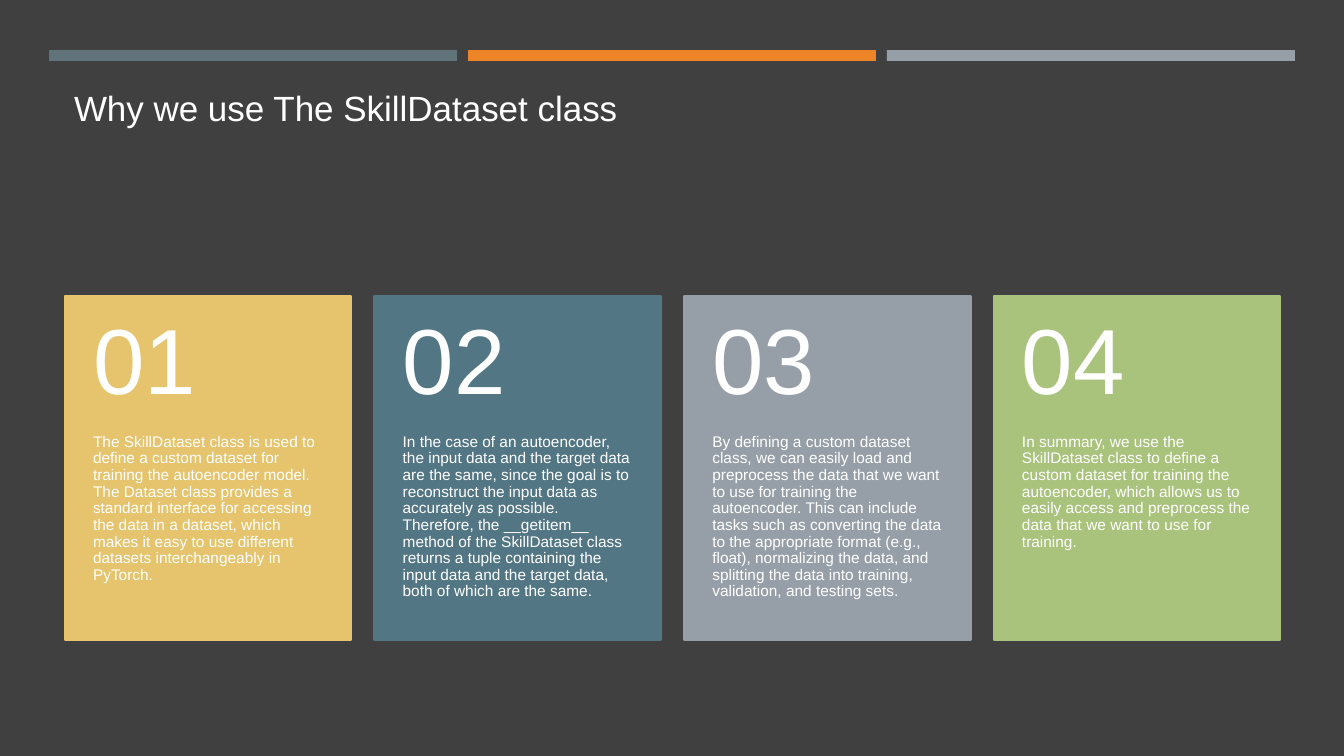
from pptx import Presentation
from pptx.dml.color import RGBColor
from pptx.enum.shapes import MSO_SHAPE
from pptx.enum.text import MSO_ANCHOR, PP_ALIGN
from pptx.util import Pt

TITLE = "Why we use The SkillDataset class"
CARDS = [
    ("01", "gold",
     "The SkillDataset class is used to define a custom dataset for training the "
     "autoencoder model. The Dataset class provides a standard interface for accessing "
     "the data in a dataset, which makes it easy to use different datasets "
     "interchangeably in PyTorch."),
    ("02", "teal",
     "In the case of an autoencoder, the input data and the target data are the same, "
     "since the goal is to reconstruct the input data as accurately as possible. "
     "Therefore, the __getitem__ method of the SkillDataset class returns a tuple "
     "containing the input data and the target data, both of which are the same."),
    ("03", "gray",
     "By defining a custom dataset class, we can easily load and preprocess the data "
     "that we want to use for training the autoencoder. This can include tasks such as "
     "converting the data to the appropriate format (e.g., float), normalizing the data, "
     "and splitting the data into training, validation, and testing sets."),
    ("04", "green",
     "In summary, we use the SkillDataset class to define a custom dataset for training "
     "the autoencoder, which allows us to easily access and preprocess the data that we "
     "want to use for training."),
]
BARS = ["slate", "orange", "gray"]
COLORS = {
    "background": "404040", "white": "FFFFFF", "slate": "60727A", "orange": "ED8428",
    "gray": "969FA7", "gold": "E6C46D", "teal": "537685", "green": "A9C37C",
}
FONT = "Arial"

SLIDE_WIDTH, SLIDE_HEIGHT = 1344, 756
BAR_LEFT, BAR_RIGHT, BAR_TOP, BAR_WIDTH, BAR_HEIGHT = 49, 1295, 50, 408, 11
CARD_LEFT, CARD_RIGHT, CARD_TOP, CARD_WIDTH, CARD_HEIGHT = 65, 1280, 296, 286, 344
NUMBER_HEIGHT = 138


def px(length):
    return round(length * 12192000 / SLIDE_WIDTH)


def color(name):
    return RGBColor.from_string(COLORS[name])


def spread(left, right, width, count):
    """Left edges of equally wide items filling the span with equal gaps."""
    step = (right - left - width) / (count - 1)
    return [left + step * index for index in range(count)]


def add_block(shapes, left, top, width, height, fill, line_width=0):
    block = shapes.add_shape(MSO_SHAPE.RECTANGLE, px(left), px(top), px(width), px(height))
    block.shadow.inherit = False
    block.fill.solid()
    block.fill.fore_color.rgb = color(fill)
    if line_width:
        block.line.color.rgb = color(fill)
        block.line.width = Pt(line_width)
    else:
        block.line.fill.background()


def set_text(shape, text, size, anchor, margins):
    """Write one white paragraph; margins are left, top, right, bottom in px."""
    frame = shape.text_frame
    frame.word_wrap = True
    frame.vertical_anchor = anchor
    (frame.margin_left, frame.margin_top,
     frame.margin_right, frame.margin_bottom) = map(px, margins)
    frame.text = text
    paragraph = frame.paragraphs[0]
    paragraph.alignment = PP_ALIGN.LEFT
    paragraph.line_spacing = 0.9
    paragraph.space_before = Pt(0)
    paragraph.font.name = FONT
    paragraph.font.size = Pt(size)
    paragraph.font.color.rgb = color("white")


def add_card(shapes, left, number, fill, description):
    add_block(shapes, left, CARD_TOP, CARD_WIDTH, CARD_HEIGHT, fill, 1.75)
    description_box = shapes.add_textbox(
        px(left), px(CARD_TOP + NUMBER_HEIGHT), px(CARD_WIDTH), px(CARD_HEIGHT - NUMBER_HEIGHT))
    set_text(description_box, description, 11, MSO_ANCHOR.TOP, (28, 0, 28, 36))
    number_box = shapes.add_textbox(px(left), px(CARD_TOP), px(CARD_WIDTH), px(NUMBER_HEIGHT))
    set_text(number_box, number, 66, MSO_ANCHOR.MIDDLE, (28, 18, 28, 18))


def main():
    presentation = Presentation()
    presentation.slide_width = px(SLIDE_WIDTH)
    presentation.slide_height = px(SLIDE_HEIGHT)
    slide = presentation.slides.add_slide(presentation.slide_layouts[5])
    slide.background.fill.solid()
    slide.background.fill.fore_color.rgb = color("background")

    title = slide.shapes.title
    title.left, title.top, title.width, title.height = map(px, (65, 78, 1215, 131))
    set_text(title, TITLE, 25, MSO_ANCHOR.TOP, (9, 13, 9, 5))

    for left, fill in zip(spread(BAR_LEFT, BAR_RIGHT, BAR_WIDTH, len(BARS)), BARS):
        add_block(slide.shapes, left, BAR_TOP, BAR_WIDTH, BAR_HEIGHT, fill)

    cards = slide.shapes.add_group_shape()
    for left, card in zip(spread(CARD_LEFT, CARD_RIGHT, CARD_WIDTH, len(CARDS)), CARDS):
        add_card(cards.shapes, left, *card)

    presentation.save("out.pptx")


if __name__ == "__main__":
    main()
